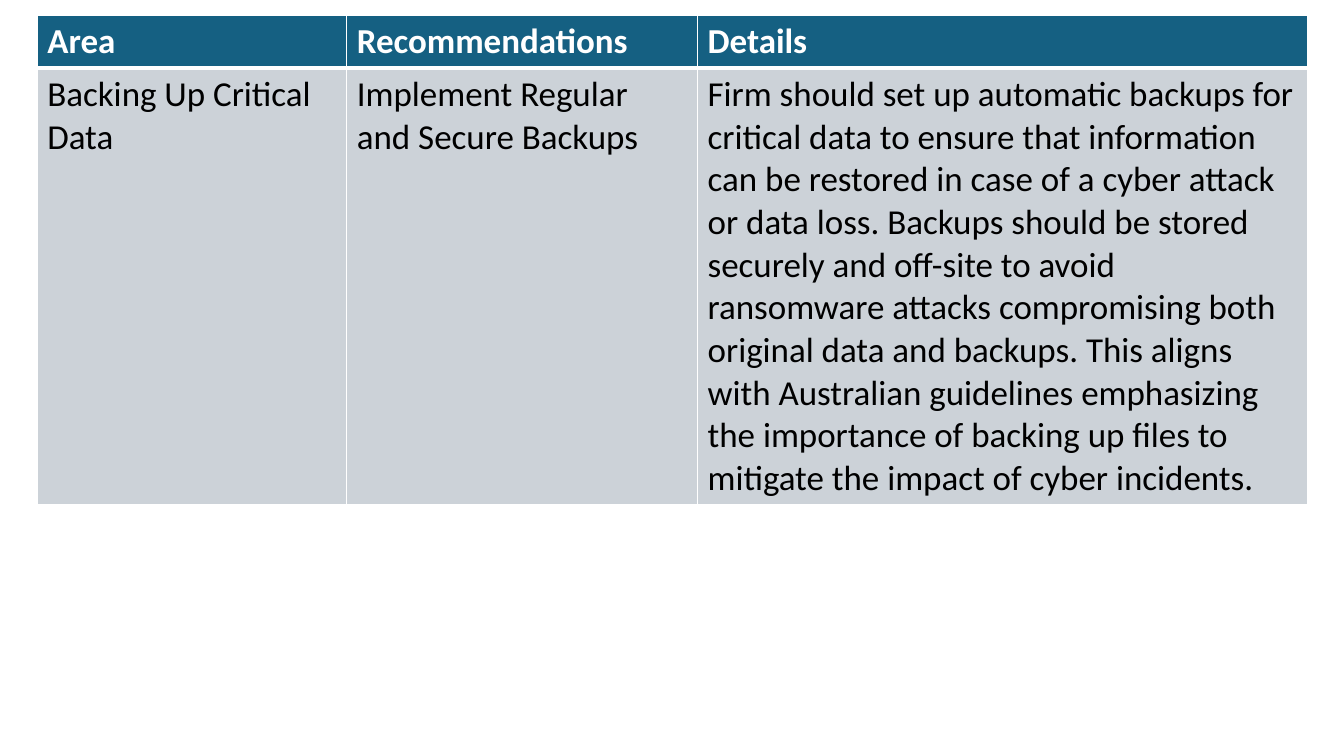
from dataclasses import dataclass

from lxml import etree
from pptx import Presentation
from pptx.dml.color import RGBColor
from pptx.enum.text import MSO_ANCHOR
from pptx.oxml.ns import qn
from pptx.util import Cm, Pt

TOP, MIDDLE = MSO_ANCHOR.TOP, MSO_ANCHOR.MIDDLE


@dataclass(frozen=True)
class Theme:
    font: str = "Calibri"
    size: int = 25
    header_fill: str = "156082"
    header_text: str = "FFFFFF"
    body_fill: str = "CCD2D8"
    body_text: str = "000000"
    border: str = "FFFFFF"
    thin: int = 1
    thick: int = 3


THEME = Theme()

COL_WIDTHS = (7.8, 8.84, 15.37)
ROW_HEIGHTS = (1.32, 11)
ROWS = (
    ("Area", "Recommendations", "Details"),
    (
        "Backing Up Critical Data",
        "Implement Regular and Secure Backups",
        "Firm should set up automatic backups for critical data to ensure that "
        "information can be restored in case of a cyber attack or data loss. "
        "Backups should be stored securely and off-site to avoid ransomware "
        "attacks compromising both original data and backups. This aligns with "
        "Australian guidelines emphasizing the importance of backing up files "
        "to mitigate the impact of cyber incidents.",
    ),
)


def set_borders(cell, widths):
    """Draw the cell's borders; widths are points for left, right, top, bottom."""
    tcPr = cell._tc.get_or_add_tcPr()
    for side, width in zip("LRTB", widths):
        ln = etree.SubElement(tcPr, qn(f"a:ln{side}"), w=str(Pt(width)))
        fill = etree.SubElement(ln, qn("a:solidFill"))
        etree.SubElement(fill, qn("a:srgbClr"), val=THEME.border)


def style_cell(cell, text, header):
    rule = THEME.thick, THEME.thin
    top, bottom = rule[::-1] if header else rule
    set_borders(cell, (THEME.thin, THEME.thin, top, bottom))
    cell.fill.solid()
    cell.fill.fore_color.rgb = RGBColor.from_string(
        THEME.header_fill if header else THEME.body_fill)
    cell.vertical_anchor = MIDDLE if header else TOP
    cell.text = text
    font = cell.text_frame.paragraphs[0].font
    font.name, font.size, font.bold = THEME.font, Pt(THEME.size), header
    font.color.rgb = RGBColor.from_string(
        THEME.header_text if header else THEME.body_text)


def add_recommendations(s, left, top):
    table = s.shapes.add_table(
        len(ROWS), len(COL_WIDTHS), Cm(left), Cm(top),
        Cm(sum(COL_WIDTHS)), Cm(sum(ROW_HEIGHTS))).table
    for column, width in zip(table.columns, COL_WIDTHS):
        column.width = Cm(width)
    for i, (row, height) in enumerate(zip(table.rows, ROW_HEIGHTS)):
        row.height = Cm(height)
        for cell, text in zip(row.cells, ROWS[i]):
            style_cell(cell, text, header=i == 0)


def main():
    prs = Presentation()
    prs.slide_width, prs.slide_height = Cm(33.87), Cm(19.05)
    s = prs.slides.add_slide(prs.slide_layouts[6])
    add_recommendations(s, left=0.94, top=0.39)
    prs.save("out.pptx")


if __name__ == "__main__":
    main()
